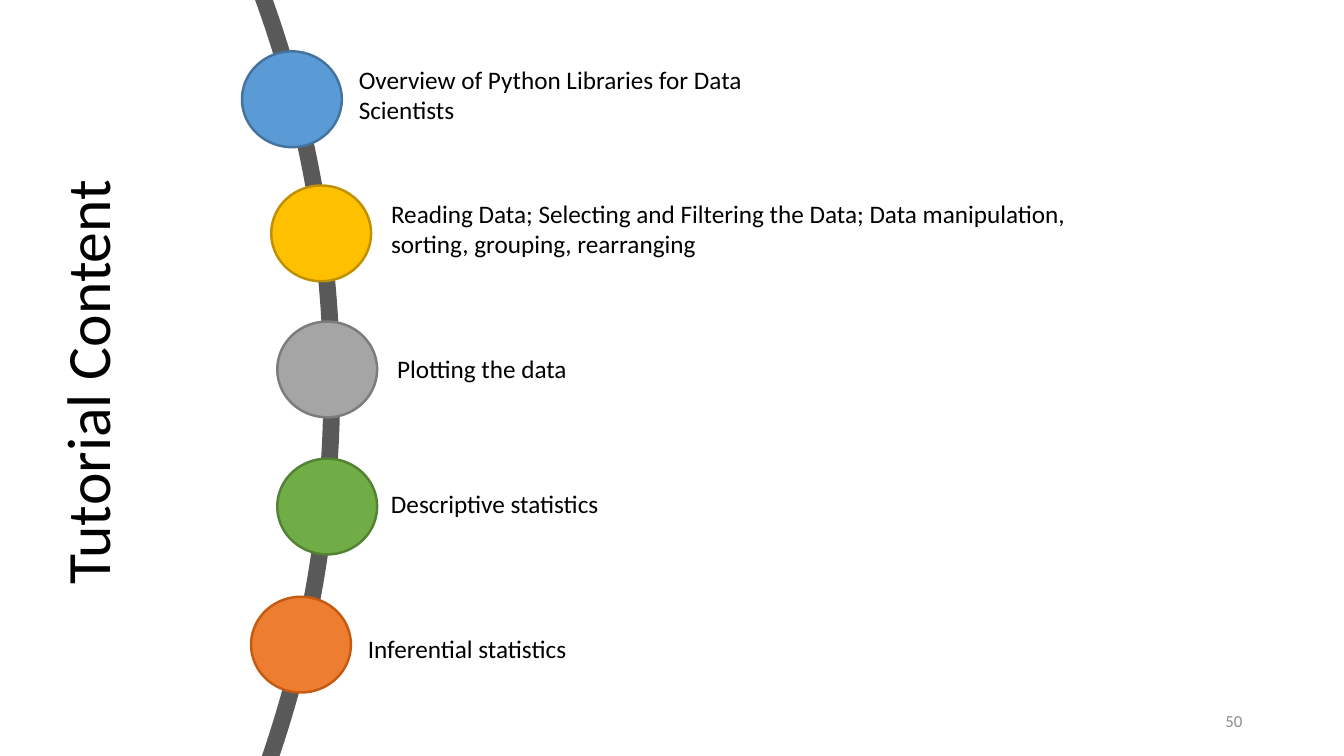
"""Build the tutorial content slide: five topics along an arc."""
from dataclasses import dataclass

from pptx import Presentation
from pptx import util as u
from pptx.dml.color import RGBColor
from pptx.enum import shapes, text

COLOURS = {
    "text": "000000", "number": "8C8C8C", "arc": "595959",
    "blue": "5B9BD5", "blue_edge": "43739E",
    "gold": "FFC000", "gold_edge": "BF9000",
    "grey": "A5A5A5", "grey_edge": "7C7C7C",
    "green": "70AD47", "green_edge": "548235",
    "orange": "ED7D31", "orange_edge": "C55A11",
}
DOT_WIDTH, DOT_HEIGHT = 0.99, 0.95
ARC_SIZE = 22.67


@dataclass(frozen=True)
class Topic:
    """One dot on the arc with its label."""
    label: str
    colour: str
    dot: tuple[float, float]
    box: tuple[float, float, float, float]


TOPICS = [
    Topic("Overview of Python Libraries for Data Scientists", "blue",
          (2.4, 0.51), (3.46, 0.59, 4.59, 0.71)),
    Topic("Reading Data; Selecting and Filtering the Data; Data manipulation, "
          "sorting, grouping, rearranging", "gold",
          (2.69, 1.84), (3.78, 1.92, 7.69, 0.71)),
    Topic("Plotting the data", "grey", (2.75, 3.19), (3.84, 3.46, 5.77, 0.4)),
    Topic("Descriptive statistics", "green", (2.75, 4.55), (3.78, 4.8, 5.77, 0.4)),
    Topic("Inferential statistics", "orange", (2.49, 5.92), (3.55, 6.23, 5.77, 0.4)),
]


def colour(name: str) -> RGBColor:
    """Look up a named colour."""
    return RGBColor.from_string(COLOURS[name])


def place(shape, left: float, top: float, width: float, height: float) -> None:
    """Position a shape, in inches."""
    shape.left, shape.top = u.Inches(left), u.Inches(top)
    shape.width, shape.height = u.Inches(width), u.Inches(height)


def write(shape, words: str, *, size: float = 18, ink: str = "text",
          align=text.PP_ALIGN.LEFT, anchor=text.MSO_ANCHOR.TOP,
          spacing: float = 1.0, fit=text.MSO_AUTO_SIZE.NONE) -> None:
    """Fill a shape with one formatted paragraph."""
    frame = shape.text_frame
    frame.text = words
    frame.word_wrap = True
    frame.auto_size = fit
    frame.vertical_anchor = anchor
    paragraph = frame.paragraphs[0]
    paragraph.alignment = align
    paragraph.line_spacing = spacing
    font = paragraph.runs[0].font
    font.name, font.size = "Calibri", u.Pt(size)
    font.color.rgb = colour(ink)


def add_text(slide, words: str, box: tuple[float, float, float, float], **style) -> None:
    """Add a text box."""
    write(slide.shapes.add_textbox(*map(u.Inches, box)), words, **style)


def add_ellipse(slide, box: tuple[float, float, float, float], edge: str,
                weight: float, fill: str | None = None) -> None:
    """Add an outlined ellipse, hollow unless a fill is named."""
    ellipse = slide.shapes.add_shape(shapes.MSO_SHAPE.OVAL, *map(u.Inches, box))
    ellipse.shadow.inherit = False
    if fill:
        ellipse.fill.solid()
        ellipse.fill.fore_color.rgb = colour(fill)
    else:
        ellipse.fill.background()
    ellipse.line.color.rgb = colour(edge)
    ellipse.line.width = u.Pt(weight)


def main() -> None:
    """Build and save the slide."""
    presentation = Presentation()
    presentation.slide_width = u.Inches(13.33)
    presentation.slide_height = u.Inches(7.5)
    slide = presentation.slides.add_slide(presentation.slide_layouts[5])

    title = slide.shapes.title
    place(title, -2.15, 2.13, 6.09, 1.45)
    title.rotation = 270
    write(title, "Tutorial Content", size=44, anchor=text.MSO_ANCHOR.MIDDLE, spacing=0.9)

    add_text(slide, "50", (9.42, 6.95, 3, 0.4), size=12, ink="number",
             align=text.PP_ALIGN.RIGHT, anchor=text.MSO_ANCHOR.MIDDLE)
    add_ellipse(slide, (-19.38, -7.49, ARC_SIZE, ARC_SIZE), "arc", 12)
    for topic in TOPICS:
        add_ellipse(slide, (*topic.dot, DOT_WIDTH, DOT_HEIGHT),
                    f"{topic.colour}_edge", 1.75, topic.colour)
        add_text(slide, topic.label, topic.box, fit=text.MSO_AUTO_SIZE.SHAPE_TO_FIT_TEXT)

    presentation.save("out.pptx")


if __name__ == "__main__":
    main()
